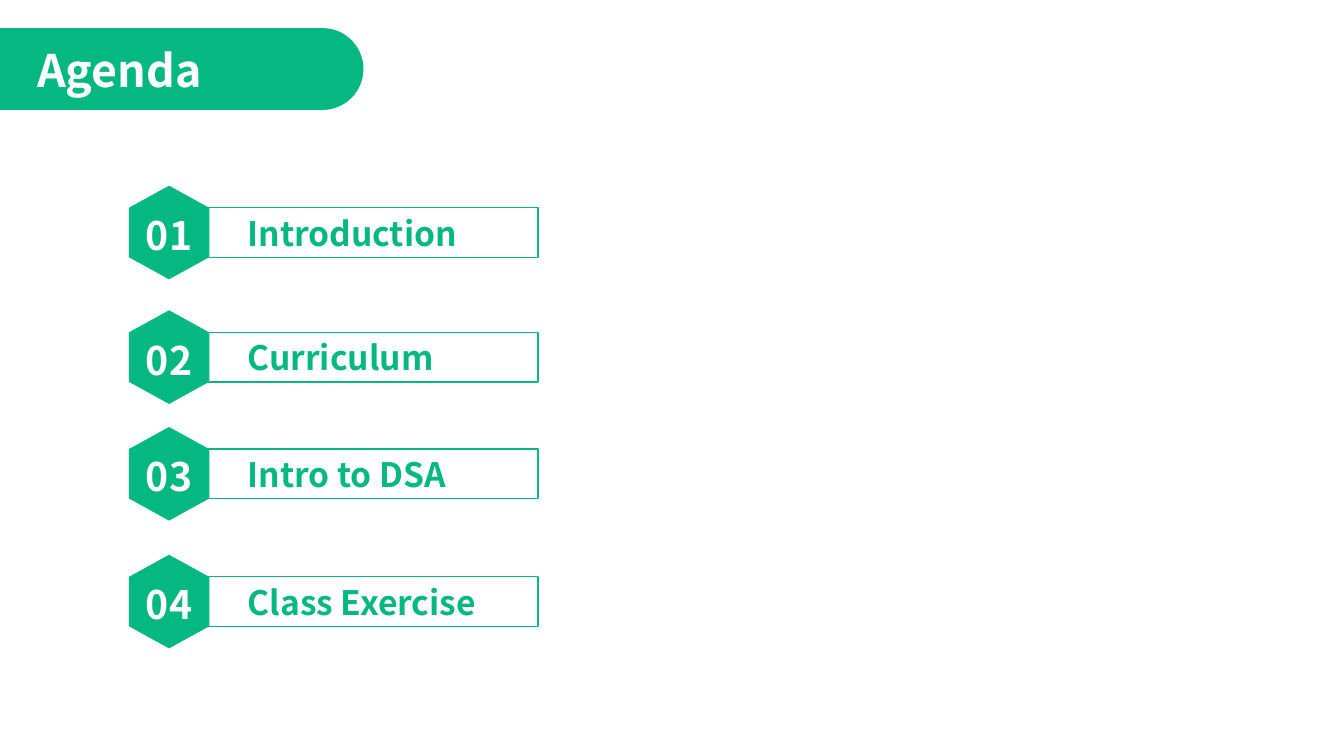
from math import cos, pi, sin

from pptx import Presentation
from pptx.dml.color import RGBColor
from pptx.enum.shapes import MSO_SHAPE
from pptx.enum.text import MSO_AUTO_SIZE
from pptx.util import Cm, Pt

FONT = "Noto Sans CJK SC"
GREEN = "05B780"
WHITE = "FFFFFF"


def color(hex_string):
    return RGBColor.from_string(hex_string)


def add_text(shapes, text, left, top, width, height, size, hex_string):
    box = shapes.add_textbox(Cm(left), Cm(top), Cm(width), Cm(height))
    frame = box.text_frame
    frame.word_wrap = True
    frame.auto_size = MSO_AUTO_SIZE.SHAPE_TO_FIT_TEXT
    run = frame.paragraphs[0].add_run()
    run.text = text
    run.font.name = FONT
    run.font.size = Pt(size)
    run.font.bold = True
    run.font.color.rgb = color(hex_string)


presentation = Presentation()
presentation.slide_width = Cm(33.87)
presentation.slide_height = Cm(19.05)
slide = presentation.slides.add_slide(presentation.slide_layouts[6])

# Title banner: square on the left, half circle on the right
banner_top, radius, arc_x, arc_steps = 0.71, 1.03, 8.13, 40
angles = [pi * step / arc_steps - pi / 2 for step in range(arc_steps + 1)]
outline = [
    (Cm(arc_x + radius * cos(angle)), Cm(banner_top + radius + radius * sin(angle)))
    for angle in angles
]
outline.append((Cm(0), Cm(banner_top + 2 * radius)))
builder = slide.shapes.build_freeform(Cm(0), Cm(banner_top))
builder.add_line_segments(outline, close=True)
banner = builder.convert_to_shape()
banner.shadow.inherit = False
banner.fill.solid()
banner.fill.fore_color.rgb = color(GREEN)
banner.line.fill.background()
add_text(slide.shapes, "Agenda", 0.69, 0.94, 7.77, 1.63, 32, WHITE)

# Agenda items: label and vertical centre of the row
items = [
    ("Introduction", 5.86),
    ("Curriculum", 9.0),
    ("Intro to DSA", 11.94),
    ("Class Exercise", 15.16),
]
frame_height, hexagon_width, hexagon_height = 1.25, 2.36, 2.03

for number, (label, middle) in enumerate(items, start=1):
    # Outlined frame with its label
    frame = slide.shapes.add_shape(
        MSO_SHAPE.RECTANGLE,
        Cm(5.23), Cm(middle - frame_height / 2), Cm(8.33), Cm(frame_height),
    )
    frame.shadow.inherit = False
    frame.fill.background()
    frame.line.color.rgb = color(GREEN)
    frame.line.width = Pt(1)
    add_text(slide.shapes, label, 5.99, middle - 0.63, 6.93, 1.28, 24, GREEN)

    # Numbered hexagon, standing on its point
    badge = slide.shapes.add_group_shape()
    hexagon = badge.shapes.add_shape(
        MSO_SHAPE.HEXAGON,
        Cm(3.08), Cm(middle - hexagon_height / 2), Cm(hexagon_width), Cm(hexagon_height),
    )
    hexagon.rotation = 90
    hexagon.adjustments[0] = 0.275
    hexagon.shadow.inherit = False
    hexagon.fill.solid()
    hexagon.fill.fore_color.rgb = color(GREEN)
    hexagon.line.fill.background()
    add_text(badge.shapes, f"{number:02d}", 3.43, middle - 0.66, 2.08, 1.45, 28, WHITE)

presentation.save("out.pptx")
